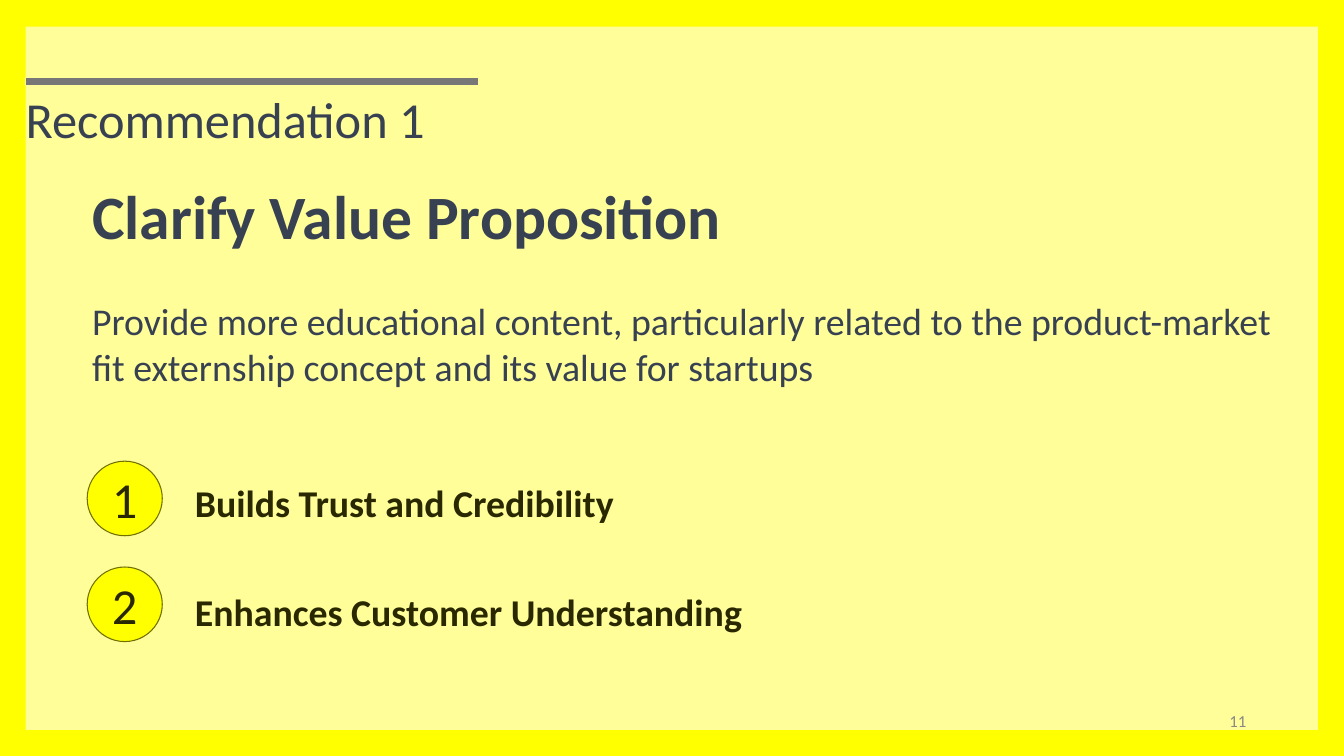
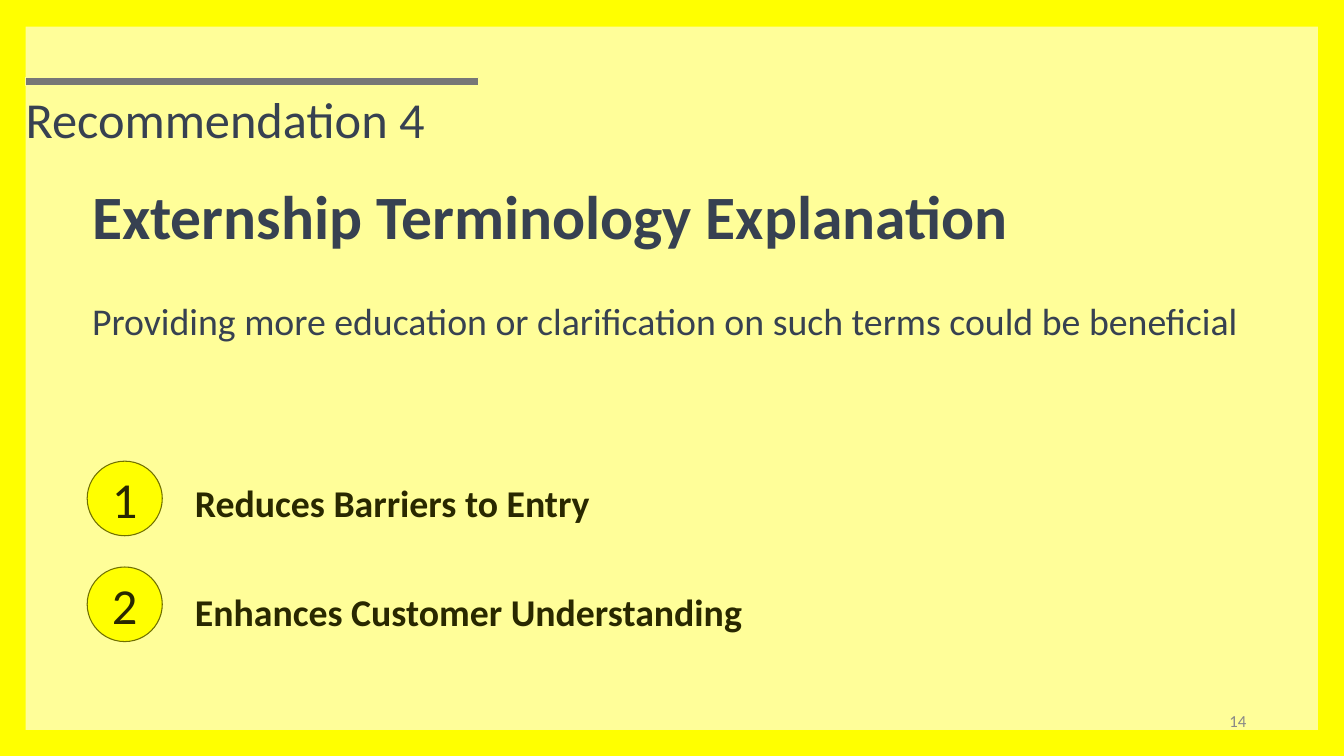
from collections import namedtuple

from pptx import Presentation
from pptx.dml.color import RGBColor
from pptx.enum.shapes import MSO_SHAPE
from pptx.enum.text import MSO_ANCHOR, PP_ALIGN
from pptx.util import Inches, Pt

Box = namedtuple("Box", "left top width height")

YELLOW, CREAM, GRAY, OLIVE = "FFFF00", "FFFE99", "777777", "707000"
SLATE, DARK, PALE = "374151", "292800", "888888"

PANEL = Box(0.51, 0.53, 25.64, 13.95)
HEADER = Box(0.41, 1.12, 22.26, 1.95)
NUMBER = Box(24.28, 14.04, 0.55, 0.53)
BENEFITS = Box(1.73, 9.15, 15.43, 3.58)

TITLE_STYLE = {"size": Pt(72), "color": SLATE}
NUMBER_STYLE = {"size": Pt(24), "color": PALE}
HEADING_STYLE = {"size": Pt(88), "bold": True, "color": SLATE}
BODY_STYLE = {"size": Pt(54), "bold": False, "color": SLATE}
LABEL_STYLE = {"size": Pt(54), "bold": True, "color": DARK}
BADGE_STYLE = {"size": Pt(72), "color": DARK}

RECOMMENDATIONS = [
    {
        "title": "Recommendation 1",
        "number": "11",
        "heading": "Clarify Value Proposition",
        "body": "Provide more educational content, particularly related to the "
                "product-market fit externship concept and its value for startups",
        "message_box": Box(1.73, 3.48, 24.42, 4.31),
        "benefits": ["Builds Trust and Credibility", "Enhances Customer Understanding"],
    },
    {
        "title": "Recommendation 4",
        "number": "14",
        "heading": "Externship Terminology Explanation",
        "body": "Providing more education or clarification on such terms could be beneficial",
        "message_box": Box(1.73, 3.48, 23.86, 3.4),
        "benefits": ["Reduces Barriers to Entry", "Enhances Customer Understanding"],
    },
]


def color(value):
    return RGBColor.from_string(value)


def inches(box):
    return [Inches(length) for length in box]


def add_figure(page, kind, box, fill, line=None, weight=0):
    figure = page.shapes.add_shape(kind, *inches(box))
    figure.shadow.inherit = False
    figure.fill.solid()
    figure.fill.fore_color.rgb = color(fill)
    if line:
        figure.line.color.rgb = color(line)
        figure.line.width = Pt(weight)
    else:
        figure.line.fill.background()
    return figure


def write(para, text, style, **layout):
    span = para.add_run()
    span.text = text
    span.font.name = "Calibri"
    for name, value in style.items():
        if name == "color":
            span.font.color.rgb = color(value)
        else:
            setattr(span.font, name, value)
    for name, value in layout.items():
        setattr(para, name, value)


def add_text(page, box, text, style, anchor=MSO_ANCHOR.TOP, inset=0.05, **layout):
    frame = page.shapes.add_textbox(*inches(box)).text_frame
    settings = {"word_wrap": True, "vertical_anchor": anchor,
                "margin_top": Inches(inset), "margin_bottom": Inches(inset)}
    for name, value in settings.items():
        setattr(frame, name, value)
    write(frame.paragraphs[0], text, style, **layout)
    return frame


def add_backdrop(page):
    page.background.fill.solid()
    page.background.fill.fore_color.rgb = color(YELLOW)
    add_figure(page, MSO_SHAPE.RECTANGLE, PANEL, CREAM)


def add_header(page, box, title):
    bar = Box(box.left + 0.09, box.top + 0.41, 9, 0.16)
    add_figure(page, MSO_SHAPE.RECTANGLE, bar, GRAY, CREAM, 0.79)
    add_text(page, box, title, TITLE_STYLE, MSO_ANCHOR.BOTTOM, 0.1, line_spacing=0.9)


def add_message(page, box, heading, body):
    frame = add_text(page, box, heading, HEADING_STYLE)
    write(frame.add_paragraph(), body, BODY_STYLE, space_before=Pt(66))


def add_benefits(page, box, benefits):
    label_left = 2.04
    for index, benefit in enumerate(benefits):
        # Label
        label = Box(box.left + label_left, box.top + 0.31 + index * 2.18,
                    box.width - label_left, 1.01)
        add_text(page, label, benefit, LABEL_STYLE)
        # Numbered badge
        badge_box = Box(box.left, box.top + index * 2.1, 1.49, 1.48)
        badge = add_figure(page, MSO_SHAPE.FLOWCHART_CONNECTOR, badge_box, YELLOW, OLIVE, 1.5)
        badge.text_frame.vertical_anchor = MSO_ANCHOR.MIDDLE
        write(badge.text_frame.paragraphs[0], str(index + 1), BADGE_STYLE,
              alignment=PP_ALIGN.CENTER)


def add_recommendation(deck, content):
    page = deck.slides.add_slide(deck.slide_layouts[6])
    add_backdrop(page)
    add_header(page, HEADER, content["title"])
    add_text(page, NUMBER, content["number"], NUMBER_STYLE, MSO_ANCHOR.MIDDLE, 0.1,
             alignment=PP_ALIGN.RIGHT)
    add_message(page, content["message_box"], content["heading"], content["body"])
    add_benefits(page, BENEFITS, content["benefits"])


def main():
    deck = Presentation()
    deck.slide_width, deck.slide_height = Inches(26.67), Inches(15)
    for content in RECOMMENDATIONS:
        add_recommendation(deck, content)
    deck.save("out.pptx")


if __name__ == "__main__":
    main()
